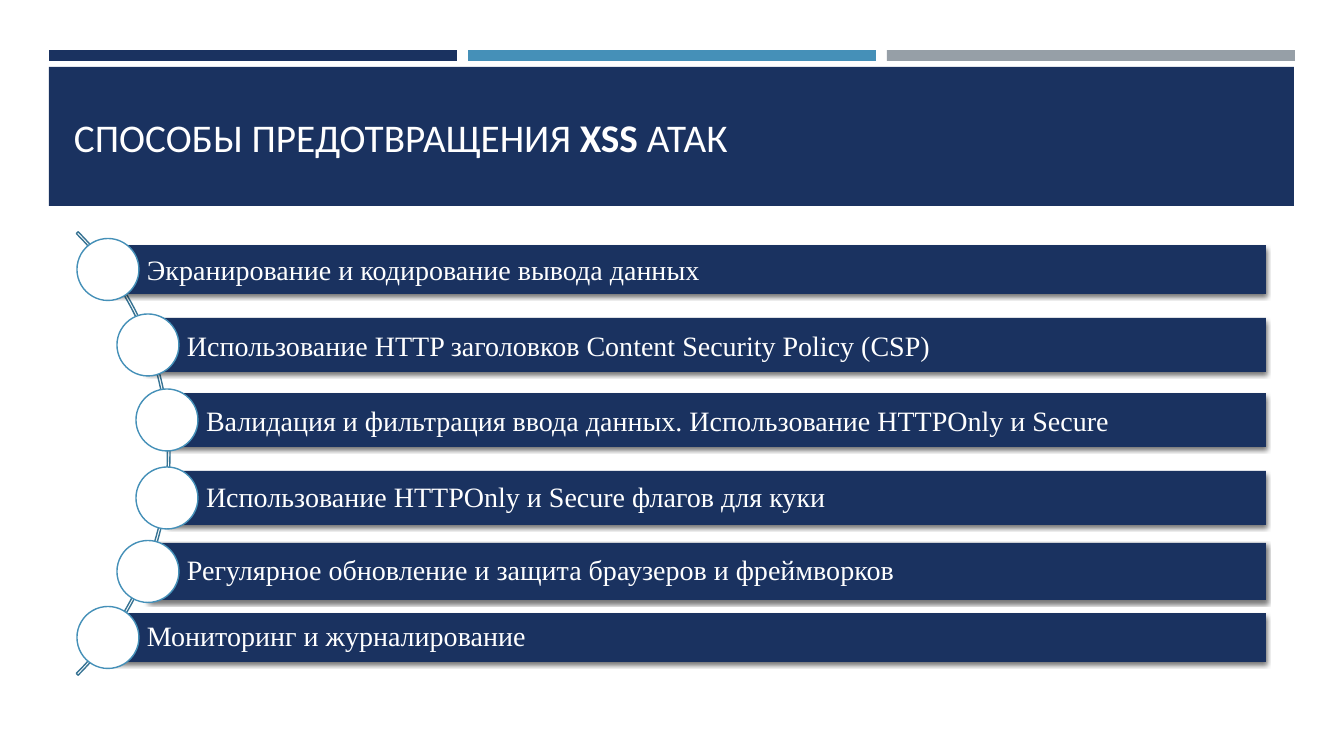
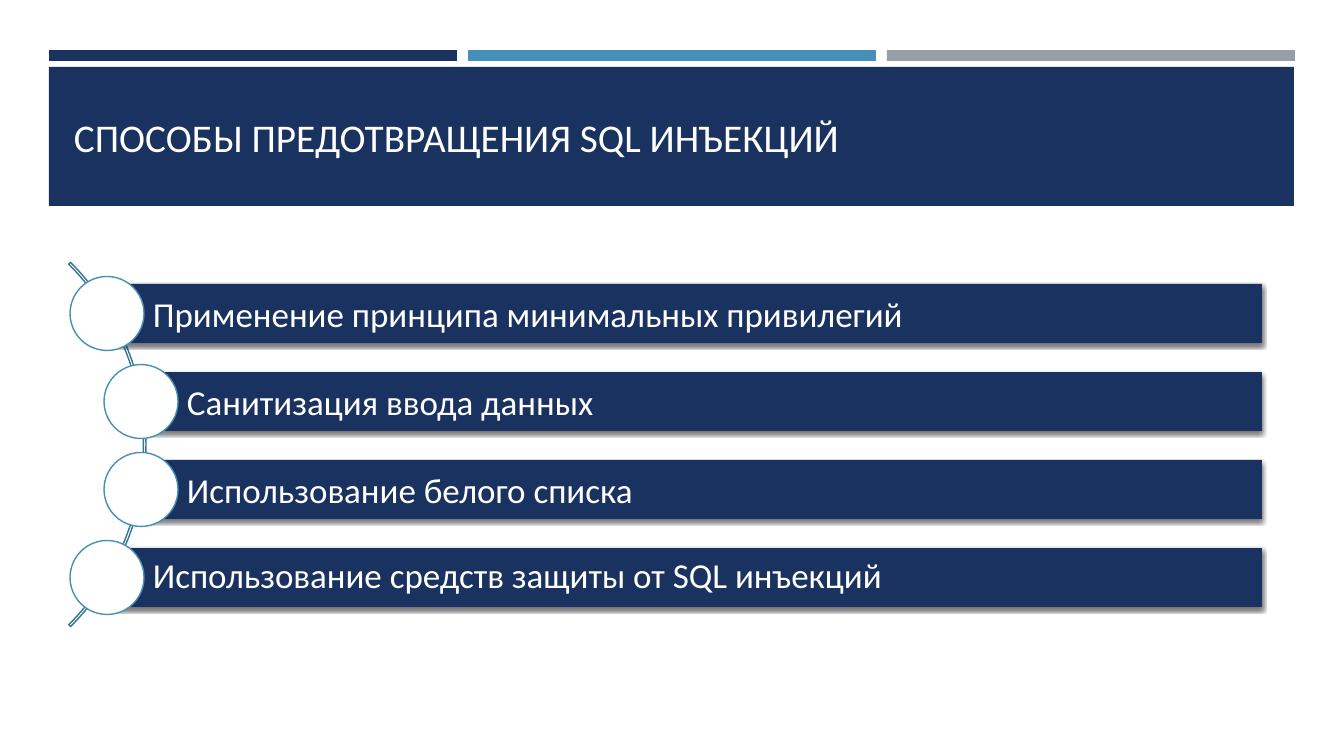
"""Build two slides on preventing XSS attacks and SQL injections."""
from lxml import etree
from pptx import Presentation
from pptx.dml.color import RGBColor
from pptx.enum.shapes import MSO_SHAPE
from pptx.enum.text import MSO_ANCHOR, PP_ALIGN
from pptx.oxml.ns import qn
from pptx.util import Emu, Pt

RECT, DOT, ARC = MSO_SHAPE.RECTANGLE, MSO_SHAPE.OVAL, MSO_SHAPE.BLOCK_ARC
LEFT, MIDDLE = PP_ALIGN.LEFT, MSO_ANCHOR.MIDDLE

NAVY = RGBColor(0x1A, 0x32, 0x60)
BLUE = RGBColor(0x45, 0x90, 0xB8)
GREY = RGBColor(0x96, 0x9F, 0xA7)
TEAL = RGBColor(0x37, 0x73, 0x93)
WHITE = RGBColor(0xFF, 0xFF, 0xFF)

SANS, SERIF = "Calibri", "Times New Roman"
SCALE = 914400 / 100.8


def px(num):
    return Emu(round(num * SCALE))


class Deck:
    def __init__(self):
        self.prs = Presentation()
        self.prs.slide_width, self.prs.slide_height = px(1344), px(756)

    def shape(self, kind, x, y, w, h, fill=None, line=None):
        item = self.slide.shapes.add_shape(kind, px(x), px(y), px(w), px(h))
        item.shadow.inherit = False
        if fill is None:
            item.fill.background()
        else:
            item.fill.solid()
            item.fill.fore_color.rgb = fill
        if line is None:
            item.line.fill.background()
        else:
            item.line.color.rgb = line
            item.line.width = Pt(1)
        return item

    def label(self, item, parts, font, size, inset, pad, space=1.0):
        frame = item.text_frame
        frame.word_wrap = True
        frame.vertical_anchor = MIDDLE
        frame.margin_left = px(inset)
        frame.margin_right = frame.margin_top = frame.margin_bottom = px(pad)
        para = frame.paragraphs[0]
        para.alignment = LEFT
        para.line_spacing = space
        for i, part in enumerate(parts):
            run = para.add_run()
            run.text = part
            run.font.name = font
            run.font.size = Pt(size)
            run.font.bold = i % 2 == 1
            run.font.color.rgb = WHITE

    def shade(self, item):
        effects = item._element.spPr.find(qn("a:effectLst"))
        outer = etree.SubElement(effects, qn("a:outerShdw"), blurRad="38100",
                                 dist="25400", dir="5400000", rotWithShape="0")
        black = etree.SubElement(outer, qn("a:srgbClr"), val="000000")
        etree.SubElement(black, qn("a:alpha"), val="55000")

    def page(self, *title):
        self.slide = self.prs.slides.add_slide(self.prs.slide_layouts[6])
        for i, fill in enumerate((NAVY, BLUE, GREY)):
            self.shape(RECT, 49 + 419 * i, 50, 408, 11, fill)
        band = self.shape(RECT, 49, 67, 1245, 139, NAVY)
        self.label(band, title, SANS, 28, 25, 5)

    def arc(self, x, y, size, thick):
        curve = self.shape(ARC, x, y, size, size, line=TEAL)
        for i, value in enumerate((189, 27, thick)):
            curve.adjustments[i] = value

    def row(self, x, y, end, high, text, dot, font, size, inset, pad, space):
        bar = self.shape(RECT, x, y, end - x, high, NAVY)
        self.shade(bar)
        self.label(bar, [text], font, size, inset, pad, space)
        self.shape(DOT, x - dot / 2, y + (high - dot) / 2, dot, dot, WHITE, BLUE)


XSS = (
    (108, 245, 49, 1.0, "Экранирование и кодирование вывода данных"),
    (148, 318, 54, 1.0, "Использование HTTP заголовков Content Security Policy (CSP)"),
    (167, 393, 54, 1.0, "Валидация и фильтрация ввода данных. Использование HTTPOnly и Secure"),
    (167, 471, 54, 0.9, "Использование HTTPOnly и Secure флагов для куки"),
    (148, 543, 57, 0.9, "Регулярное обновление и защита браузеров и фреймворков"),
    (108, 613, 49, 0.9, "Мониторинг и журналирование"),
)
SQL = (
    (107, 1.0, "Применение принципа минимальных привилегий"),
    (141, 1.0, "Санитизация ввода данных"),
    (141, 1.0, "Использование белого списка"),
    (107, 0.9, "Использование средств защиты от SQL инъекций"),
)


def main():
    deck = Deck()

    deck.page("СПОСОБЫ ПРЕДОТВРАЩЕНИЯ ", "XSS", " АТАК")
    deck.arc(-457, 140, 627, 0.004)
    for x, y, high, space, text in XSS:
        deck.row(x, y, 1266, high, text, 62, SERIF, 20, 39, 6, space)

    deck.page("СПОСОБЫ ПРЕДОТВРАЩЕНИЯ SQL ИНЪЕКЦИЙ")
    deck.arc(-369, 187, 515, 0.005)
    for i, (x, space, text) in enumerate(SQL):
        deck.row(x, 284 + 88 * i, 1262, 59, text, 74, SANS, 25, 46, 7, space)

    deck.prs.save("out.pptx")


if __name__ == "__main__":
    main()
